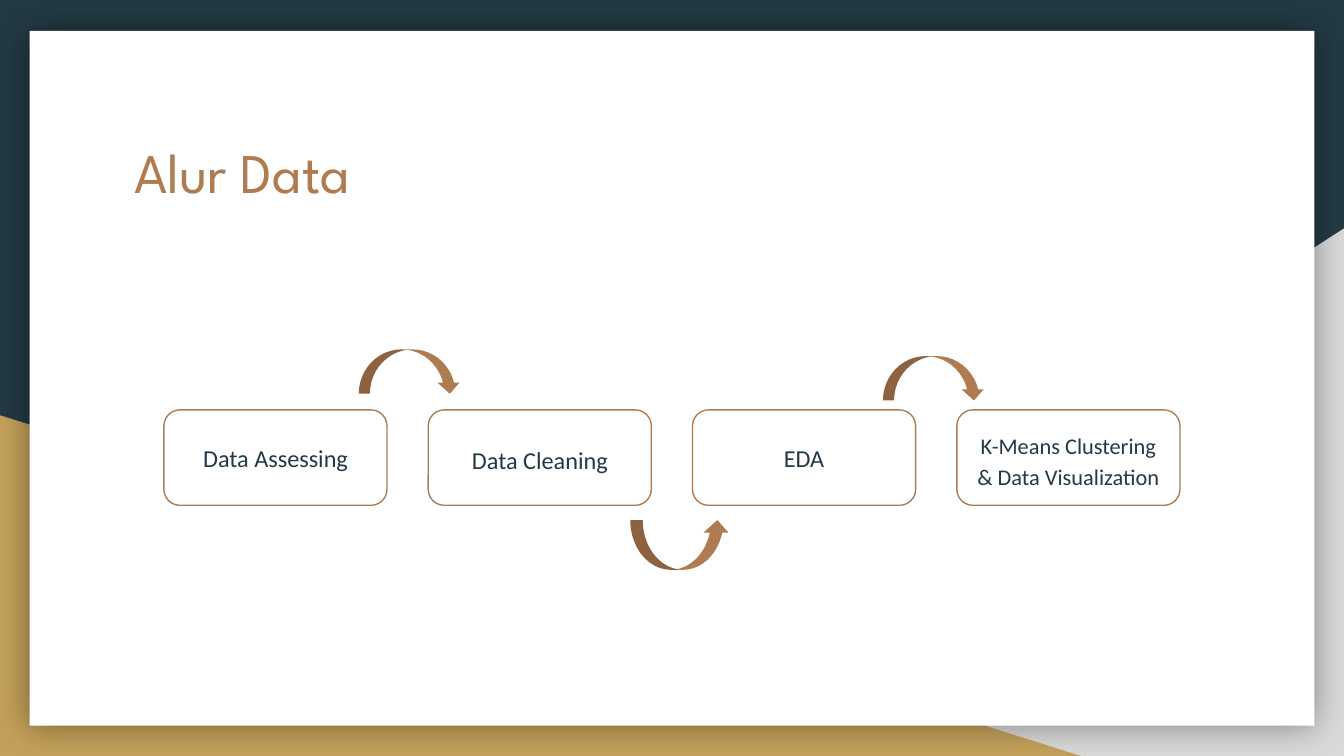
import pptx
import pptx.dml.color
import pptx.enum.shapes
import pptx.enum.text
import pptx.oxml
import pptx.oxml.ns
import pptx.util
from dataclasses import dataclass

Inches = pptx.util.Inches
Shape = pptx.enum.shapes.MSO_SHAPE
Align = pptx.enum.text.PP_ALIGN
Anchor = pptx.enum.text.MSO_ANCHOR


@dataclass(frozen=True)
class Theme:
    navy: str = "233A44"
    gold: str = "C4A15A"
    grey: str = "D9D9D9"
    white: str = "FFFFFF"
    copper: str = "AF7B51"
    heading_font: str = "League Spartan"
    body_font: str = "Calibri"
    title_size: int = 30
    step_size: int = 13
    small_size: int = 12


THEME = Theme()
FIRST_LEFT, LAST_LEFT, STEP_TOP = 1.22, 7.12, 3.05
STEP_WIDTH, STEP_HEIGHT = 1.66, 0.71


def color(value):
    return pptx.dml.color.RGBColor.from_string(value)


def write_text(box, text, *, font, size, ink, align=Align.LEFT, anchor=Anchor.TOP,
               line_spacing=1.0, space_after=0):
    frame = box.text_frame
    frame.word_wrap = True
    frame.auto_size = pptx.enum.text.MSO_AUTO_SIZE.NONE
    frame.vertical_anchor = anchor
    frame.margin_left = frame.margin_right = Inches(0.1)
    frame.margin_top = frame.margin_bottom = Inches(0.1)
    para = frame.paragraphs[0]
    para.alignment = align
    para.line_spacing = line_spacing
    para.space_before = pptx.util.Pt(0)
    para.space_after = pptx.util.Pt(space_after)
    span = para.add_run()
    span.text = text
    span.font.name = font
    span.font.size = pptx.util.Pt(size)
    span.font.color.rgb = color(ink)


def add_block(page, kind, left, top, width, height, fill, line=None):
    box = page.shapes.add_shape(kind, Inches(left), Inches(top), Inches(width), Inches(height))
    box.shadow.inherit = False
    box.fill.solid()
    box.fill.fore_color.rgb = color(fill)
    if line:
        box.line.color.rgb = color(line)
        box.line.width = pptx.util.Pt(0.75)
    else:
        box.line.fill.background()
    return box


def add_glow(box):
    effects = box._element.spPr.find(pptx.oxml.ns.qn("a:effectLst"))
    effects.append(pptx.oxml.parse_xml(
        f'<a:outerShdw {pptx.oxml.ns.nsdecls("a")} blurRad="{pptx.util.Pt(18)}" dist="0" '
        'algn="ctr" rotWithShape="0"><a:srgbClr val="000000"><a:alpha val="40000"/>'
        '</a:srgbClr></a:outerShdw>'))


def add_backdrop(page):
    page.background.fill.solid()
    page.background.fill.fore_color.rgb = color(THEME.navy)
    corner = add_block(page, Shape.RIGHT_TRIANGLE, 3.92, 1.7, 6.08, 3.93, THEME.grey)
    corner._element.spPr.xfrm.set("flipH", "1")
    add_block(page, Shape.RIGHT_TRIANGLE, 0, 3.09, 8.06, 2.54, THEME.gold)
    add_glow(add_block(page, Shape.RECTANGLE, 0.22, 0.23, 9.56, 5.17, THEME.white))


def add_title(page, text):
    box = page.shapes.title
    box.left, box.top = Inches(0.9), Inches(0.92)
    box.width, box.height = Inches(8.21), Inches(1.04)
    write_text(box, text, font=THEME.heading_font, size=THEME.title_size, ink=THEME.copper)
    page.shapes._spTree.append(box._element)


def add_step(page, left, text, **text_format):
    box = add_block(page, Shape.ROUNDED_RECTANGLE, left, STEP_TOP,
                    STEP_WIDTH, STEP_HEIGHT, THEME.white, THEME.copper)
    defaults = dict(size=THEME.step_size, anchor=Anchor.MIDDLE)
    write_text(box, text, font=THEME.body_font, ink=THEME.navy, align=Align.CENTER,
               **(defaults | text_format))


def main():
    deck = pptx.Presentation()
    deck.slide_width = Inches(10)
    deck.slide_height = deck.slide_width * 9 // 16
    page = deck.slides.add_slide(deck.slide_layouts[5])
    add_backdrop(page)
    add_title(page, "Alur Data")

    steps = [
        ("Data Assessing", {}),
        ("Data Cleaning", dict(line_spacing=1.15)),
        ("EDA", {}),
        ("K-Means Clustering & Data Visualization",
         dict(size=THEME.small_size, anchor=Anchor.TOP, line_spacing=1.15, space_after=12)),
    ]
    pitch = (LAST_LEFT - FIRST_LEFT) / (len(steps) - 1)
    for index, (text, text_format) in enumerate(steps):
        add_step(page, FIRST_LEFT + index * pitch, text, **text_format)

    arrows = [
        (Shape.CURVED_DOWN_ARROW, 2.67, 2.6, 0.76, 0.33),
        (Shape.CURVED_UP_ARROW, 4.69, 3.87, 0.74, 0.37),
        (Shape.CURVED_DOWN_ARROW, 6.57, 2.65, 0.76, 0.33),
    ]
    for kind, left, top, width, height in arrows:
        add_block(page, kind, left, top, width, height, THEME.copper)

    deck.save("out.pptx")


if __name__ == "__main__":
    main()
